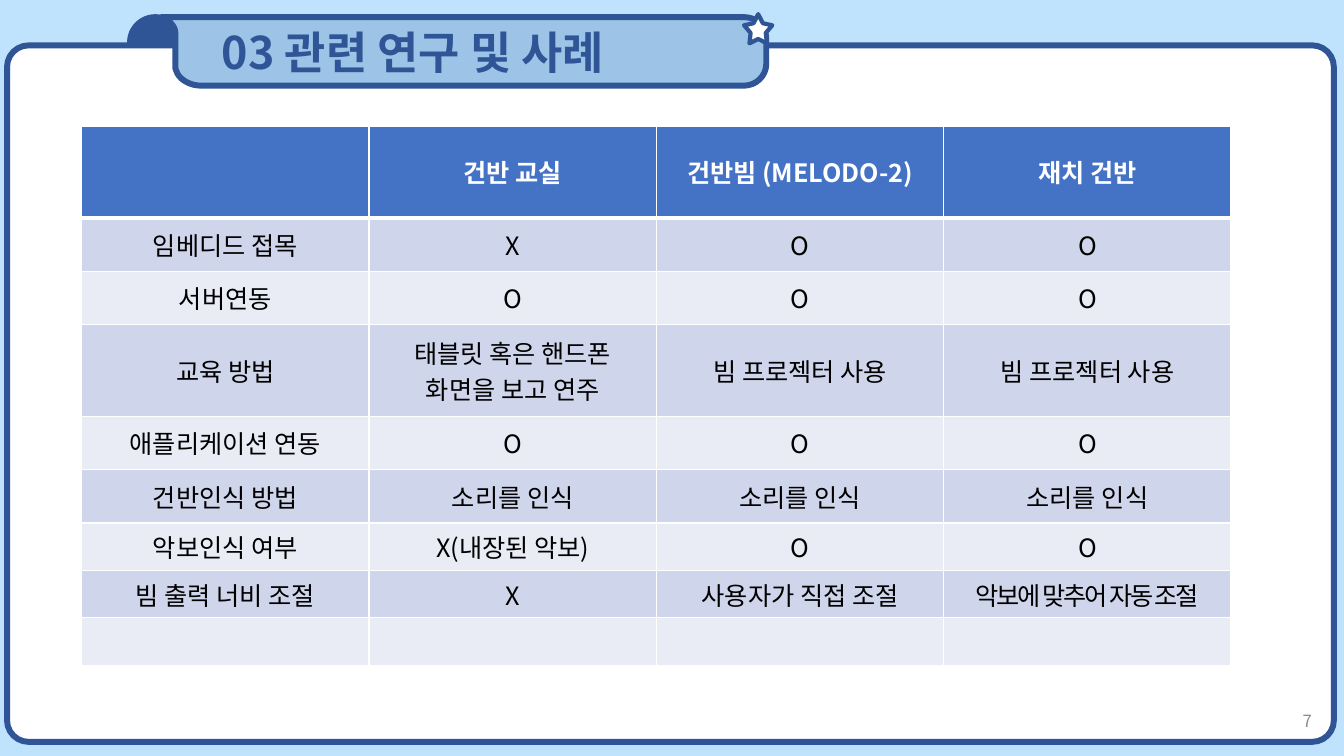
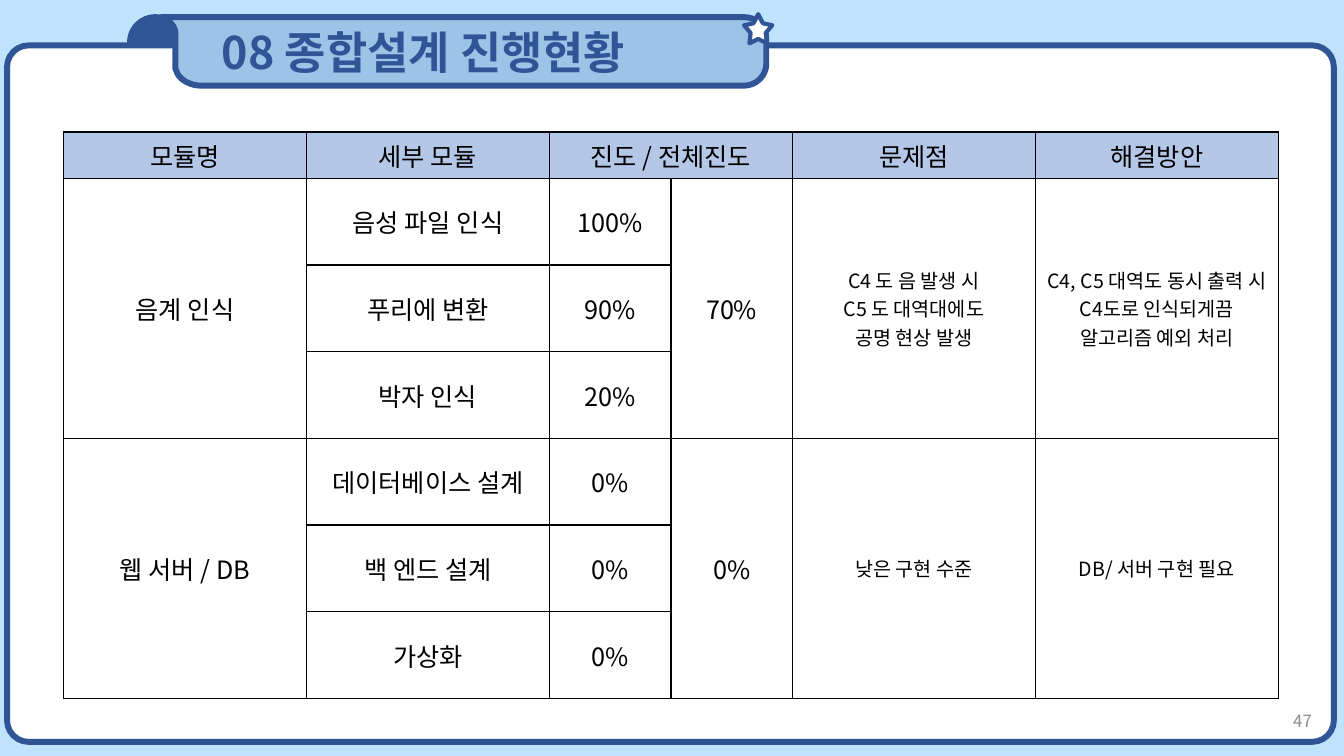
from dataclasses import dataclass

from lxml import etree
from pptx import Presentation
from pptx.dml.color import RGBColor
from pptx.enum.shapes import MSO_SHAPE
from pptx.enum.text import MSO_ANCHOR, MSO_AUTO_SIZE, PP_ALIGN
from pptx.oxml.ns import qn
from pptx.util import Inches, Pt

ROUNDED = MSO_SHAPE.ROUNDED_RECTANGLE
ROUNDED_TOP = MSO_SHAPE.ROUND_2_SAME_RECTANGLE
STAR = MSO_SHAPE.STAR_5_POINT
MIDDLE = MSO_ANCHOR.MIDDLE
LEFT, CENTER, RIGHT = PP_ALIGN.LEFT, PP_ALIGN.CENTER, PP_ALIGN.RIGHT
NO_AUTOFIT = MSO_AUTO_SIZE.NONE
TITLE_ONLY = 5


@dataclass(frozen=True)
class Theme:
    font: str = "Noto Sans CJK KR"
    background: str = "BFE3FD"
    navy: str = "2F5597"
    ribbon: str = "9DC3E6"
    white: str = "FFFFFF"
    black: str = "000000"
    gray: str = "8C8C8C"
    comparison_head: str = "4472C4"
    bands: tuple = ("CFD5EA", "E9EBF5")
    progress_head: str = "B4C7E7"
    title_size: float = 32
    body_size: float = 18
    note_size: float = 14
    number_size: float = 12
    frame_line: float = 4.25
    star_line: float = 3


THEME = Theme()

# Two numbers end a straight line, six describe a cubic curve.
RIBBON_START = (1.6, 0.17)
RIBBON_OUTLINE = [
    (7.38, 0.17), (7.5, 0.17, 7.6, 0.26, 7.6, 0.38),
    (7.6, 0.64), (7.6, 0.75, 7.5, 0.85, 7.38, 0.85),
    (2, 0.85), (1.89, 0.85, 1.8, 0.8, 1.76, 0.73), (1.74, 0.68),
    (1.74, 0.33), (1.74, 0.27, 1.7, 0.22, 1.64, 0.19), (1.6, 0.18),
]

COMPARISON = [
    ["", "건반 교실", "건반빔 (MELODO-2)", "재치 건반"],
    ["임베디드 접목", "X", "O", "O"],
    ["서버연동", "O", "O", "O"],
    ["교육 방법", "태블릿 혹은 핸드폰 화면을 보고 연주", "빔 프로젝터 사용", "빔 프로젝터 사용"],
    ["애플리케이션 연동", "O", "O", "O"],
    ["건반인식 방법", "소리를 인식", "소리를 인식", "소리를 인식"],
    ["악보인식 여부", "X(내장된 악보)", "O", "O"],
    ["빔 출력 너비 조절", "X", "사용자가 직접 조절", "악보에 맞추어 자동 조절"],
    ["", "", "", ""],
]
TIGHT_CELL = (7, 3)

PROGRESS = [
    ["모듈명", "세부 모듈", "진도 / 전체진도", "", "문제점", "해결방안"],
    ["음계 인식", "음성 파일 인식", "100%", "70%",
     "C4 도 음 발생 시\nC5 도 대역대에도\n공명 현상 발생",
     "C4, C5 대역도 동시 출력 시 C4도로 인식되게끔 알고리즘 예외 처리"],
    ["", "푸리에 변환", "90%", "", "", ""],
    ["", "박자 인식", "20%", "", "", ""],
    ["웹 서버 / DB", "데이터베이스 설계", "0%", "0%", "낮은 구현 수준", "DB/ 서버 구현 필요"],
    ["", "백 엔드 설계", "0%", "", "", ""],
    ["", "가상화", "0%", "", "", ""],
]
MODULE_ROWS = 3
MODULE_STARTS = (1, 4)
MODULE_COLUMNS = (0, 3, 4, 5)
NOTE_COLUMNS = (4, 5)


def rgb(color):
    return RGBColor.from_string(color)


def write_text(frame, text, size, color, bold=False, align=CENTER, spacing=0):
    """Fill a text frame, one paragraph per line; spacing is in points."""
    frame.text = text
    for paragraph in frame.paragraphs:
        paragraph.alignment = align
        font = paragraph.font
        font.name, font.size, font.bold = THEME.font, Pt(size), bold
        font.color.rgb = rgb(color)
        properties = paragraph._p.find(".//" + qn("a:defRPr"))
        etree.SubElement(properties, qn("a:ea"), typeface=THEME.font)
        if spacing:
            properties.set("spc", str(int(spacing * 100)))


def paint(shape, fill, line_width):
    shape.shadow.inherit = False
    shape.fill.solid()
    shape.fill.fore_color.rgb = rgb(fill)
    shape.line.color.rgb = rgb(THEME.navy)
    shape.line.width = Pt(line_width)


def add_preset(slide, kind, box, fill, line_width, adjustments):
    shape = slide.shapes.add_shape(kind, *map(Inches, box))
    for index, value in enumerate(adjustments):
        shape.adjustments[index] = value
    paint(shape, fill, line_width)


def flatten(start, outline, steps=8):
    """Turn lines and cubic curves into a list of points."""
    points = [start]
    for segment in outline:
        if len(segment) == 2:
            points.append(segment)
            continue
        controls = [points[-1], segment[:2], segment[2:4], segment[4:]]
        for step in range(1, steps + 1):
            t = step / steps
            weights = ((1 - t) ** 3, 3 * t * (1 - t) ** 2, 3 * t * t * (1 - t), t ** 3)
            points.append(tuple(
                sum(weight * control[axis] for weight, control in zip(weights, controls))
                for axis in (0, 1)))
    return points


def add_ribbon(slide):
    points = [(x * 1000, y * 1000) for x, y in flatten(RIBBON_START, RIBBON_OUTLINE)]
    builder = slide.shapes.build_freeform(*points[0], scale=Inches(1) / 1000)
    builder.add_line_segments(points[1:], close=True)
    paint(builder.convert_to_shape(), THEME.ribbon, THEME.frame_line)


def format_title(slide, text):
    """Lay the title placeholder on top of the ribbon."""
    title = slide.shapes.title
    title.element.getparent().append(title.element)
    title.left, title.top, title.width, title.height = map(Inches, (2.1, 0.17, 5.2, 0.68))
    frame = title.text_frame
    frame.auto_size, frame.word_wrap = NO_AUTOFIT, True
    frame.vertical_anchor = MIDDLE
    frame.margin_top = frame.margin_bottom = 0
    write_text(frame, text, THEME.title_size, THEME.navy, bold=True, align=LEFT)


def add_page_number(slide, number):
    frame = slide.shapes.add_textbox(*map(Inches, (10.11, 6.95, 3, 0.4))).text_frame
    frame.word_wrap, frame.vertical_anchor = True, MIDDLE
    write_text(frame, str(number), THEME.number_size, THEME.gray, align=RIGHT)


def add_framed_slide(presentation, title, number):
    slide = presentation.slides.add_slide(presentation.slide_layouts[TITLE_ONLY])
    add_preset(slide, ROUNDED_TOP, (1.29, 0.17, 0.5, 0.98), THEME.navy, THEME.frame_line, (0.5, 0))
    add_preset(slide, ROUNDED, (0.07, 0.45, 13.16, 6.91), THEME.white, THEME.frame_line, (0.031,))
    add_ribbon(slide)
    format_title(slide, title)
    add_preset(slide, STAR, (7.38, 0.14, 0.28, 0.29), THEME.white, THEME.star_line, (0.269,))
    add_page_number(slide, number)
    return slide


def set_borders(cell, color, top=1, bottom=1):
    """Draw the four cell borders; widths are in points."""
    properties = cell._tc.get_or_add_tcPr()
    for index, (side, width) in enumerate((("L", 1), ("R", 1), ("T", top), ("B", bottom))):
        line = etree.Element(qn(f"a:ln{side}"), w=str(Pt(width)))
        fill = etree.SubElement(line, qn("a:solidFill"))
        etree.SubElement(fill, qn("a:srgbClr"), val=color)
        properties.insert(index, line)


def add_grid(slide, left, top, widths, heights, rows, format_cell):
    """Add a plain table and let format_cell style every cell."""
    table = slide.shapes.add_table(
        len(rows), len(widths), Inches(left), Inches(top),
        Inches(sum(widths)), Inches(sum(heights))).table
    table.first_row = table.horz_banding = False
    for column, width in zip(table.columns, widths):
        column.width = Inches(width)
    for row, height in zip(table.rows, heights):
        row.height = Inches(height)
    for row_index, texts in enumerate(rows):
        for column_index, text in enumerate(texts):
            cell = table.cell(row_index, column_index)
            cell.vertical_anchor = MIDDLE
            format_cell(cell, text, row_index, column_index)
    return table


def fill_cell(cell, color):
    cell.fill.solid()
    cell.fill.fore_color.rgb = rgb(color)


def format_comparison_cell(cell, text, row, column):
    head = row == 0
    fill_cell(cell, THEME.comparison_head if head else THEME.bands[(row - 1) % 2])
    set_borders(cell, THEME.white, top=3 if row == 1 else 1, bottom=3 if head else 1)
    if text:
        write_text(cell.text_frame, text, THEME.body_size,
                   THEME.white if head else THEME.black, bold=head,
                   spacing=-1.5 if (row, column) == TIGHT_CELL else 0)


def format_progress_cell(cell, text, row, column):
    if row == 0:
        fill_cell(cell, THEME.progress_head)
    else:
        cell.fill.background()
    set_borders(cell, THEME.black)
    if text:
        note = row > 0 and column in NOTE_COLUMNS
        write_text(cell.text_frame, text,
                   THEME.note_size if note else THEME.body_size, THEME.black)


def add_comparison_slide(presentation):
    slide = add_framed_slide(presentation, "03 관련 연구 및 사례", 7)
    heights = [0.91, 0.53, 0.53, 0.91, 0.53, 0.53, 0.47, 0.47, 0.47]
    add_grid(slide, 0.81, 1.25, [2.85] * 4, heights, COMPARISON, format_comparison_cell)


def add_progress_slide(presentation):
    slide = add_framed_slide(presentation, "08 종합설계 진행현황", 47)
    wide, narrow = 2.41, 1.205
    table = add_grid(slide, 0.63, 1.31, [wide, wide, narrow, narrow, wide, wide],
                     [0.46] + [0.86] * 6, PROGRESS, format_progress_cell)
    table.cell(0, 2).merge(table.cell(0, 3))
    for start in MODULE_STARTS:
        for column in MODULE_COLUMNS:
            table.cell(start, column).merge(table.cell(start + MODULE_ROWS - 1, column))


def main():
    presentation = Presentation()
    presentation.slide_width, presentation.slide_height = Inches(13.33), Inches(7.5)
    background = presentation.slide_master.background.fill
    background.solid()
    background.fore_color.rgb = rgb(THEME.background)
    add_comparison_slide(presentation)
    add_progress_slide(presentation)
    presentation.save("out.pptx")


if __name__ == "__main__":
    main()
